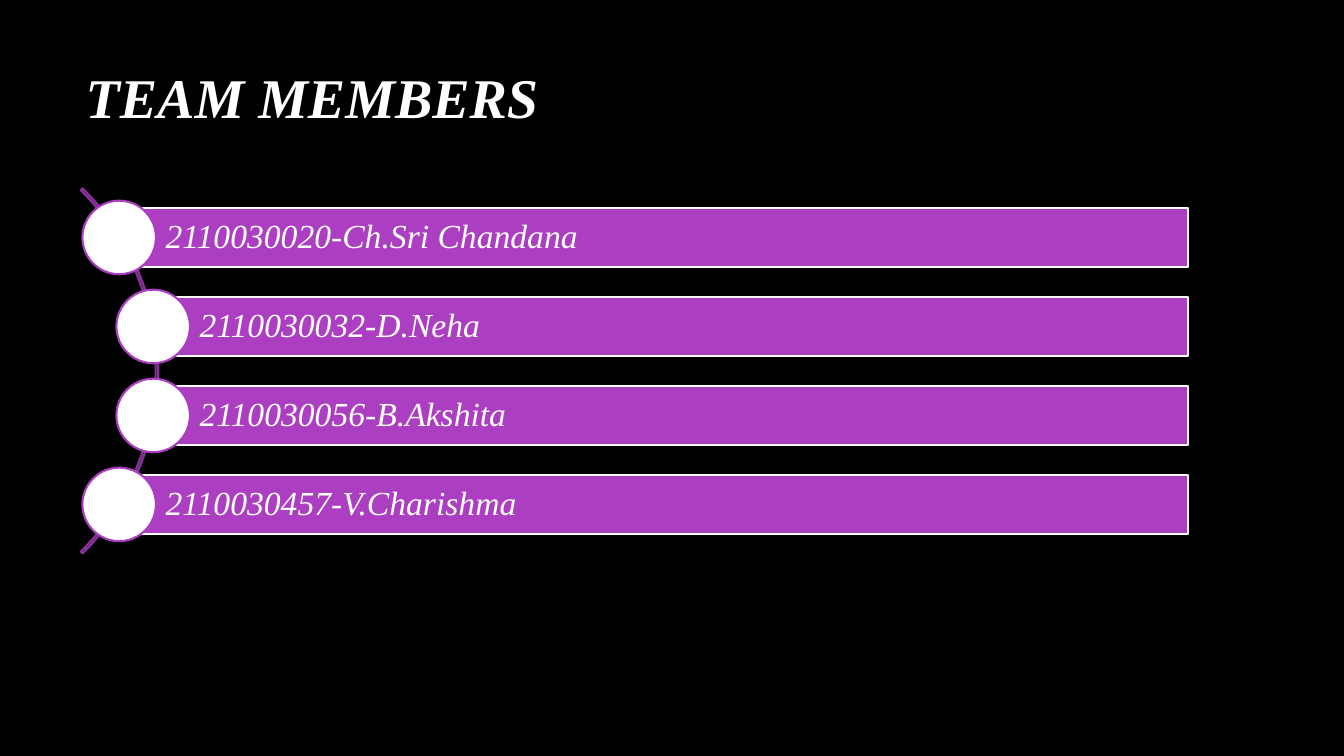
from pptx import Presentation
from pptx.dml.color import RGBColor as Rgb
from pptx.enum.shapes import MSO_SHAPE as Form
from pptx.enum.text import MSO_ANCHOR as Anchor, PP_ALIGN as Align
from pptx.util import Inches, Pt

COLOURS = {"night": "000000", "paper": "FFFFFF", "violet": "AC3EC1", "plum": "8A329B"}
FONT = "Times New Roman"
WIDTH, HEIGHT = 13.33, 7.5
MIDDLE, PITCH = 49.07, 11.77
NEAR, FAR, BAR_END = 8.87, 11.4, 88.37
MEMBERS = [
    ("2110030020-Ch.Sri Chandana", NEAR),
    ("2110030032-D.Neha", FAR),
    ("2110030056-B.Akshita", FAR),
    ("2110030457-V.Charishma", NEAR),
]


def colour(name):
    """Return a named colour."""
    return Rgb.from_string(COLOURS[name])


def across(share):
    """Turn a percentage of the slide width into a length."""
    return Inches(WIDTH * share / 100)


def down(share):
    """Turn a percentage of the slide height into a length."""
    return Inches(HEIGHT * share / 100)


def write(frame, text, size, bold=False):
    """Write one left-aligned italic line, centred vertically."""
    frame.word_wrap = True
    frame.vertical_anchor = Anchor.MIDDLE
    para = frame.paragraphs[0]
    para.alignment = Align.LEFT
    para.line_spacing = 0.9
    span = para.add_run()
    span.text = text
    font = span.font
    font.name, font.size = FONT, Pt(size)
    font.bold, font.italic = bold, True
    font.color.rgb = colour("paper")


def add_form(page, form, box, line, fill=None):
    """Add an outlined preset shape with an optional fill."""
    shape = page.shapes.add_shape(form, *box)
    shape.shadow.inherit = False
    if fill:
        shape.fill.solid()
        shape.fill.fore_color.rgb = colour(fill)
    else:
        shape.fill.background()
    shape.line.color.rgb = colour(line)
    shape.line.width = Pt(1.5)
    return shape


def add_disc(page, form, x, y, diameter, line, fill=None):
    """Add a round shape about a centre given in slide shares."""
    size = Inches(diameter)
    box = (across(x) - size // 2, down(y) - size // 2, size, size)
    return add_form(page, form, box, line, fill)


def add_title(page, text):
    """Place and fill the title placeholder."""
    title = page.shapes.title
    title.left, title.top = across(5.63), down(5.6)
    title.width, title.height = across(83.12), down(15.33)
    write(title.text_frame, text, 40, bold=True)


def add_arc(page):
    """Add the thin arc behind the discs."""
    arc = add_disc(page, Form.BLOCK_ARC, -7.43, MIDDLE, 5.12, "plum")
    for index, value in enumerate((189, 27, 0.005)):
        arc.adjustments[index] = value


def add_member(page, text, left, y):
    """Add a member's bar and the disc at its left end."""
    height = 7.73
    box = (across(left), down(y - height / 2), across(BAR_END - left), down(height))
    bar = add_form(page, Form.RECTANGLE, box, "paper", "violet")
    frame = bar.text_frame
    frame.margin_left = Inches(0.46)
    frame.margin_right = frame.margin_top = frame.margin_bottom = Inches(0.07)
    write(frame, text, 24)
    add_disc(page, Form.OVAL, left, y, 0.73, "violet", "paper")


def main():
    """Build and save the team slide."""
    deck = Presentation()
    deck.slide_width, deck.slide_height = Inches(WIDTH), Inches(HEIGHT)
    page = deck.slides.add_slide(deck.slide_layouts[5])
    page.background.fill.solid()
    page.background.fill.fore_color.rgb = colour("night")
    add_title(page, "TEAM MEMBERS")
    add_arc(page)
    first = MIDDLE - PITCH * (len(MEMBERS) - 1) / 2
    for row, (text, left) in enumerate(MEMBERS):
        add_member(page, text, left, first + PITCH * row)
    deck.save("out.pptx")


if __name__ == "__main__":
    main()
